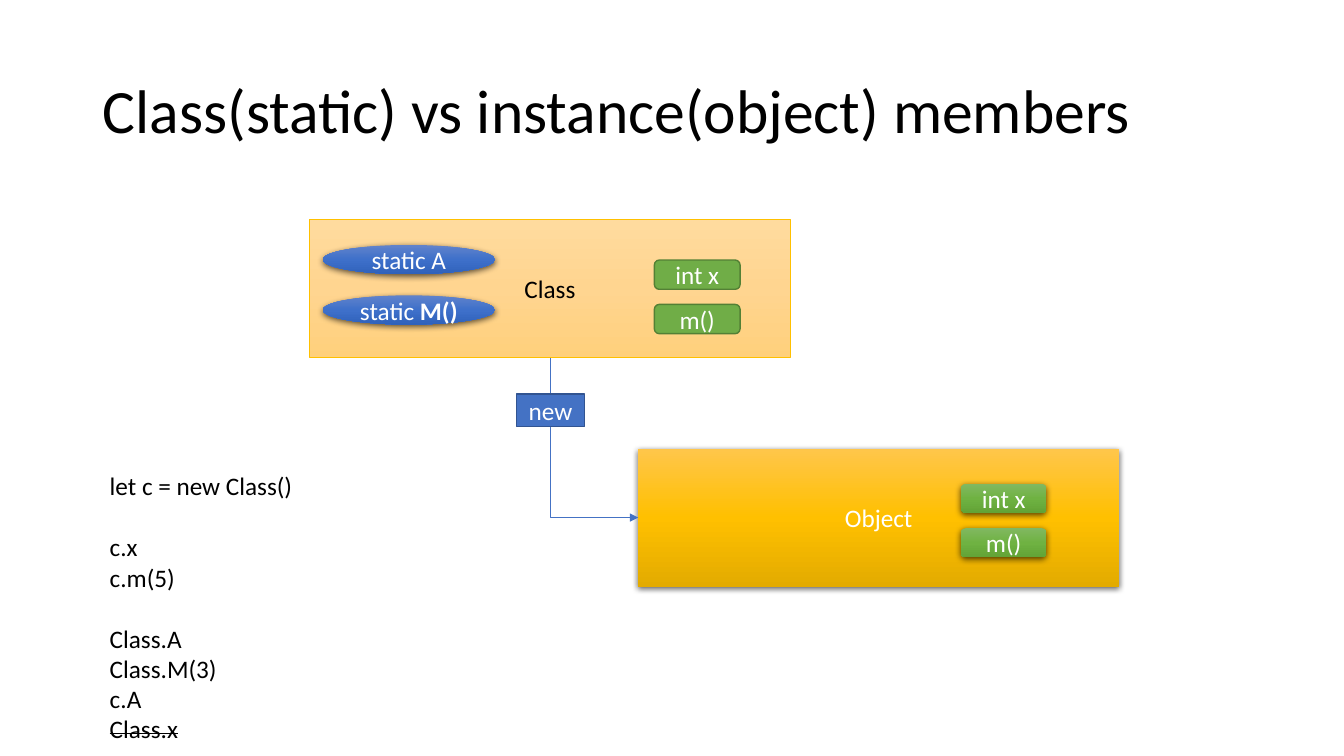
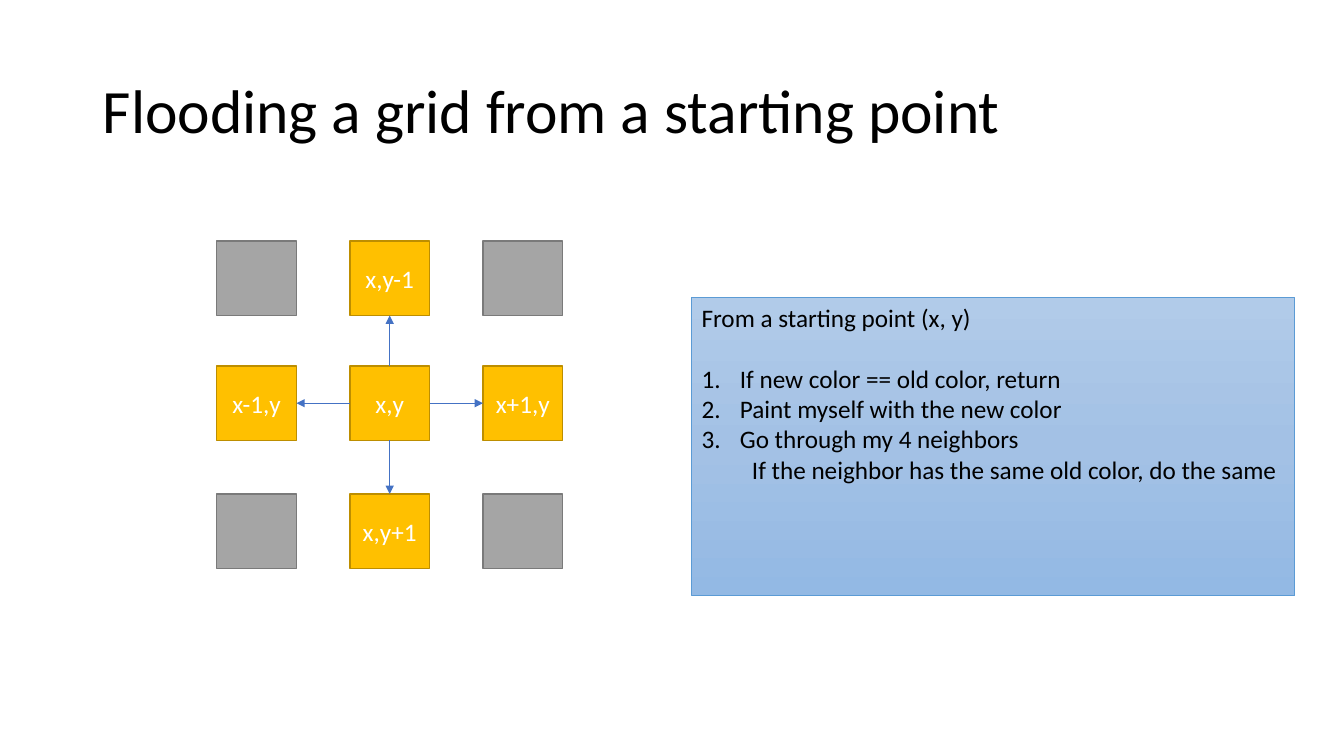
import lxml.etree
import pptx
import pptx.dml.color
import pptx.enum.shapes
import pptx.enum.text
import pptx.oxml
import pptx.oxml.ns
import pptx.util

Inches = pptx.util.Inches
Pt = pptx.util.Pt
RGB = pptx.dml.color.RGBColor
Kind = pptx.enum.shapes.MSO_SHAPE
Link = pptx.enum.shapes.MSO_CONNECTOR
Align = pptx.enum.text.PP_ALIGN
Anchor = pptx.enum.text.MSO_ANCHOR
qn = pptx.oxml.ns.qn

FONT = "Calibri"
BLACK = RGB(0, 0, 0)
WHITE = RGB(255, 255, 255)
BLUE = RGB(0x44, 0x72, 0xC4)
NAVY = RGB(0x32, 0x54, 0x91)
SKY = RGB(0x5B, 0x9B, 0xD5)
GOLD = RGB(0xFF, 0xC0, 0x00)
BROWN = RGB(0xBD, 0x8E, 0x00)
GREEN = RGB(0x70, 0xAD, 0x47)
MOSS = RGB(0x53, 0x80, 0x35)
GREY = RGB(0xA5, 0xA5, 0xA5)
SLATE = RGB(0x7A, 0x7A, 0x7A)

# Gradients run from top to bottom
PEACH_FADE = RGB(0xFF, 0xDB, 0x9E), RGB(0xFF, 0xD5, 0x90), RGB(0xFF, 0xD0, 0x7C)
BLUE_FADE = RGB(0x61, 0x83, 0xCB), RGB(0x3E, 0x70, 0xCA), RGB(0x30, 0x62, 0xBB)
GOLD_FADE = RGB(0xFF, 0xC6, 0x4B), GOLD, RGB(0xE3, 0xAB, 0x00)
GREEN_FADE = RGB(0x81, 0xB8, 0x61), RGB(0x6F, 0xB2, 0x42), RGB(0x62, 0xA3, 0x36)
SKY_FADE = RGB(0xB1, 0xCB, 0xE9), RGB(0xA3, 0xC1, 0xE5), RGB(0x93, 0xB9, 0xE4)

# Connection sites of a rectangle
TOP, LEFT, BOTTOM, RIGHT = range(4)

BODY = 18
GAP = Pt(22)
COLS = [2.15 + 1.32 * col for col in range(3)]
ROWS = [2.39, 3.63, 4.9]
CELL = 0.79, 0.74
BLOCK = 4.77, 1.37
PILL = 0.85, 0.29
OVAL = 1.71, 0.29


def sub(node, tag, **attrs):
    """Append a child element such as a:ln with its attributes."""
    child = lxml.etree.SubElement(node, qn(tag))
    for key, value in attrs.items():
        child.set(key, str(value))
    return child


def style(run, color, size=BODY):
    run.font.name = FONT
    run.font.size = Pt(size)
    run.font.color.rgb = color


def write(frame, lines, color, align):
    """Fill a frame; a None among the lines leaves a gap above the next one."""
    gap = False
    paras = []
    for line in lines:
        if line is None:
            gap = True
            continue
        para = frame.add_paragraph() if paras else frame.paragraphs[0]
        para.text = line
        para.alignment = align
        if gap:
            para.space_before = GAP
        gap = False
        style(para.runs[0], color)
        paras.append(para)
    return paras


def fade(shape, colors):
    shape.fill.gradient()
    shape.fill.gradient_angle = 270
    stops = next(shape.element.spPr.iter(qn("a:gsLst")))
    for stop in list(stops):
        stops.remove(stop)
    for i, color in enumerate(colors):
        sub(sub(stops, "a:gs", pos=i * 50000), "a:srgbClr", val=color)


def shade(shape):
    """Cast a soft shadow straight down."""
    list_node = shape.element.spPr.find(qn("a:effectLst"))
    cast = sub(list_node, "a:outerShdw", blurRad=Pt(4.5), dist=Pt(1.5),
               dir=5400000, algn="ctr", rotWithShape=0)
    sub(sub(cast, "a:srgbClr", val=BLACK), "a:alpha", val=63000)


def box(slide, kind, left, top, size, fill, line=None, width=1,
        label=None, color=WHITE, wrap=True):
    """Draw a shape; a tuple as fill is a gradient, no line means a shadow."""
    shape = slide.shapes.add_shape(
        kind, *[Inches(n) for n in (left, top, *size)])
    shape.shadow.inherit = False
    if isinstance(fill, RGB):
        shape.fill.solid()
        shape.fill.fore_color.rgb = fill
    else:
        fade(shape, fill)
    if line is None:
        shape.line.fill.background()
        shade(shape)
    else:
        shape.line.color.rgb = line
        shape.line.width = Pt(width)
    frame = shape.text_frame
    frame.word_wrap = wrap
    frame.vertical_anchor = Anchor.MIDDLE
    if label:
        write(frame, [label], color, Align.CENTER)
    return shape


def join(slide, start, out, end, into, kind=Link.STRAIGHT):
    """Link two shapes, site to site, with an arrow."""
    arrow = slide.shapes.add_connector(kind, 0, 0, 0, 0)
    arrow.begin_connect(start, out)
    arrow.end_connect(end, into)
    arrow.line.color.rgb = BLUE
    arrow.line.width = Pt(0.5)
    sub(arrow.line._get_or_add_ln(), "a:tailEnd", type="triangle")
    sub(arrow.element.spPr, "a:effectLst")
    return arrow


def bend(arrow):
    """Make an elbow go down first, then right, with a single corner."""
    wide, high = arrow.width, arrow.height
    shift = (wide - high) // 2
    arrow.left, arrow.top = arrow.left + shift, arrow.top - shift
    arrow.width, arrow.height = high, wide
    props = arrow.element.spPr
    props.find(qn("a:prstGeom")).set("prst", "bentConnector2")
    frame = props.find(qn("a:xfrm"))
    frame.set("rot", "16200000")
    frame.set("flipH", "1")


def indent(para, left, first=0.0, count=False):
    props = para._p.get_or_add_pPr()
    props.set("marL", str(Inches(left)))
    props.set("indent", str(Inches(first)))
    if count:
        sub(props, "a:buAutoNum", type="arabicPeriod")


def page(deck, text):
    slide = deck.slides.add_slide(deck.slide_layouts[5])
    title = slide.shapes.title
    title.left, title.top = Inches(0.92), Inches(0.4)
    title.width, title.height = Inches(11.5), Inches(1.45)
    frame = title.text_frame
    frame.text = text
    frame.auto_size = pptx.enum.text.MSO_AUTO_SIZE.NONE
    frame.vertical_anchor = Anchor.MIDDLE
    para = frame.paragraphs[0]
    para.alignment = Align.LEFT
    para.line_spacing = 0.9
    style(para.runs[0], BLACK, 44)
    return slide


def pills(slide, left, top, fill, line=None):
    for i, label in enumerate(("int x", "m()")):
        box(slide, Kind.ROUNDED_RECTANGLE, left, top + 0.44 * i, PILL,
            fill, line, label=label)


def code(slide):
    note = slide.shapes.add_textbox(
        Inches(0.99), Inches(4.62), Inches(2.04), Inches(2.83))
    frame = note.text_frame
    frame.word_wrap = False
    frame.auto_size = pptx.enum.text.MSO_AUTO_SIZE.SHAPE_TO_FIT_TEXT
    paras = write(frame, ["let c = new Class()", None, "c.x", "c.m(5)", None,
                          "Class.A", "Class.M(3)", "c.A", "Class.x"],
                  BLACK, Align.LEFT)
    paras[-1].runs[0]._r.get_or_add_rPr().set("strike", "sngStrike")


def members(deck):
    slide = page(deck, "Class(static) vs instance(object) members")
    model = box(slide, Kind.RECTANGLE, 3.07, 2.18, BLOCK, PEACH_FADE,
                GOLD, 0.5, "Class", BLACK)
    for i, label in enumerate(("static A", "static ")):
        oval = box(slide, Kind.OVAL, 3.2, 2.43 + 0.5 * i, OVAL, BLUE_FADE,
                   label=label)
    run = oval.text_frame.paragraphs[0].add_run()
    run.text = "M()"
    style(run, WHITE)
    run.font.bold = True
    thing = box(slide, Kind.RECTANGLE, 6.33, 4.45, BLOCK, GOLD_FADE,
                label="Object")
    bend(join(slide, model, BOTTOM, thing, LEFT, Link.ELBOW))
    box(slide, Kind.RECTANGLE, 5.12, 3.91, (0.68, 0.32), BLUE, NAVY,
        label="new")
    pills(slide, 6.49, 2.58, GREEN, MOSS)
    pills(slide, 9.53, 4.8, GREEN_FADE)
    code(slide)


def steps(slide):
    panel = box(slide, Kind.RECTANGLE, 6.86, 2.95, (5.98, 2.96), SKY_FADE,
                SKY, 0.5)
    frame = panel.text_frame
    frame.vertical_anchor = Anchor.TOP
    paras = write(frame, ["From a starting point (x, y)", None,
                          "If new color == old color, return",
                          "Paint myself with the new color",
                          "Go through my 4 neighbors",
                          "If the neighbor has the same old color, do the same"],
                  BLACK, Align.LEFT)
    for para in paras[1:4]:
        indent(para, 0.38, -0.38, True)
    paras[4].level = 1
    indent(paras[4], 0.5)


def flood(deck):
    slide = page(deck, "Flooding a grid from a starting point")
    labels = [[None, "x,y-1", None],
              ["x-1,y", "x,y", "x+1,y"],
              [None, "x,y+1", None]]
    cells = {}
    for row, top in enumerate(ROWS):
        for col, left in enumerate(COLS):
            label = labels[row][col]
            fill, line = (GOLD, BROWN) if label else (GREY, SLATE)
            cells[row, col] = box(slide, Kind.RECTANGLE, left, top, CELL,
                                  fill, line, label=label, wrap=False)
    for spot, out, into in (((1, 0), LEFT, RIGHT), ((0, 1), TOP, BOTTOM),
                            ((1, 2), RIGHT, LEFT), ((2, 1), BOTTOM, TOP)):
        join(slide, cells[1, 1], out, cells[spot], into)
    steps(slide)


def main():
    deck = pptx.Presentation()
    deck.slide_width, deck.slide_height = Inches(13.33), Inches(7.5)
    members(deck)
    flood(deck)
    deck.save("out.pptx")


if __name__ == "__main__":
    main()
